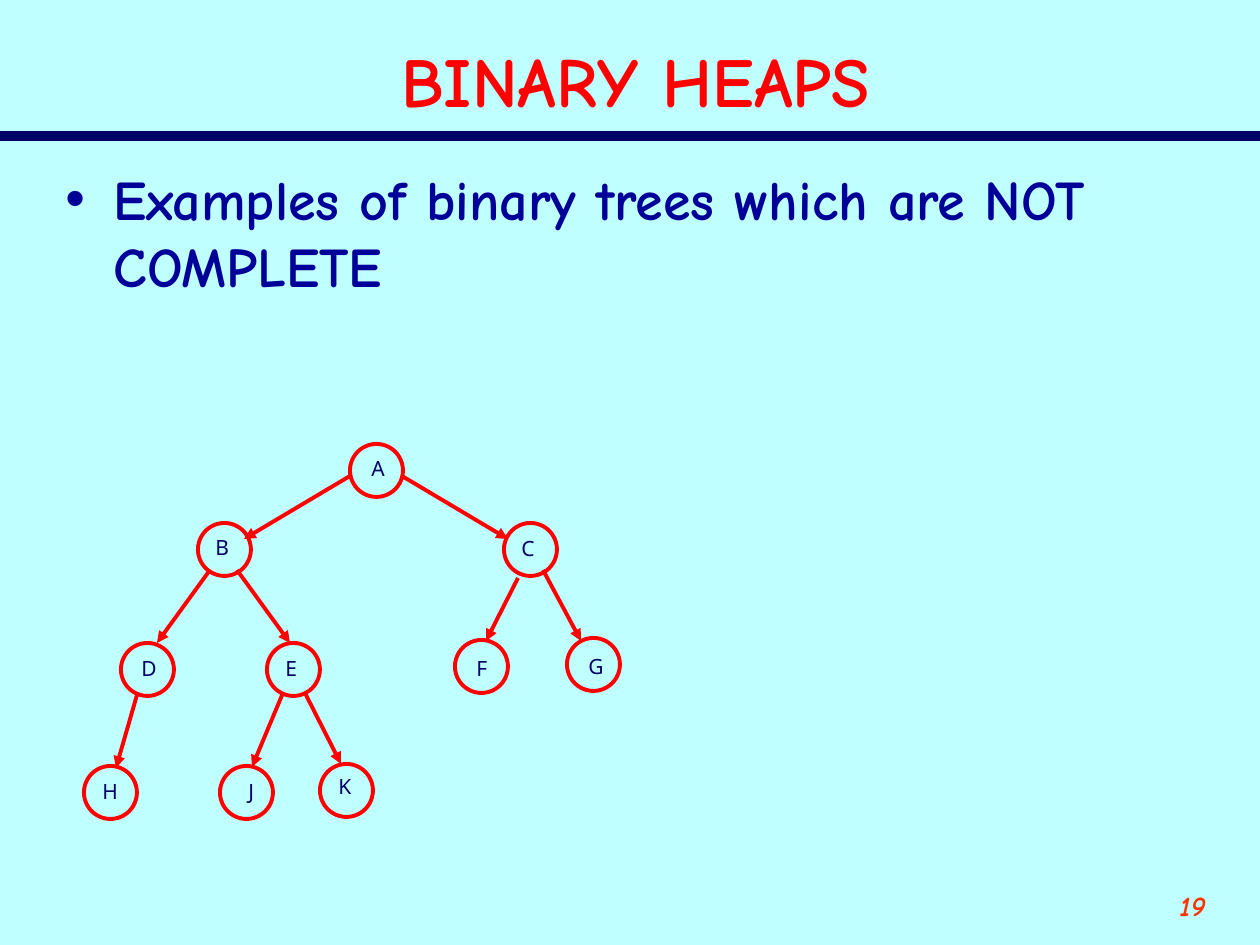
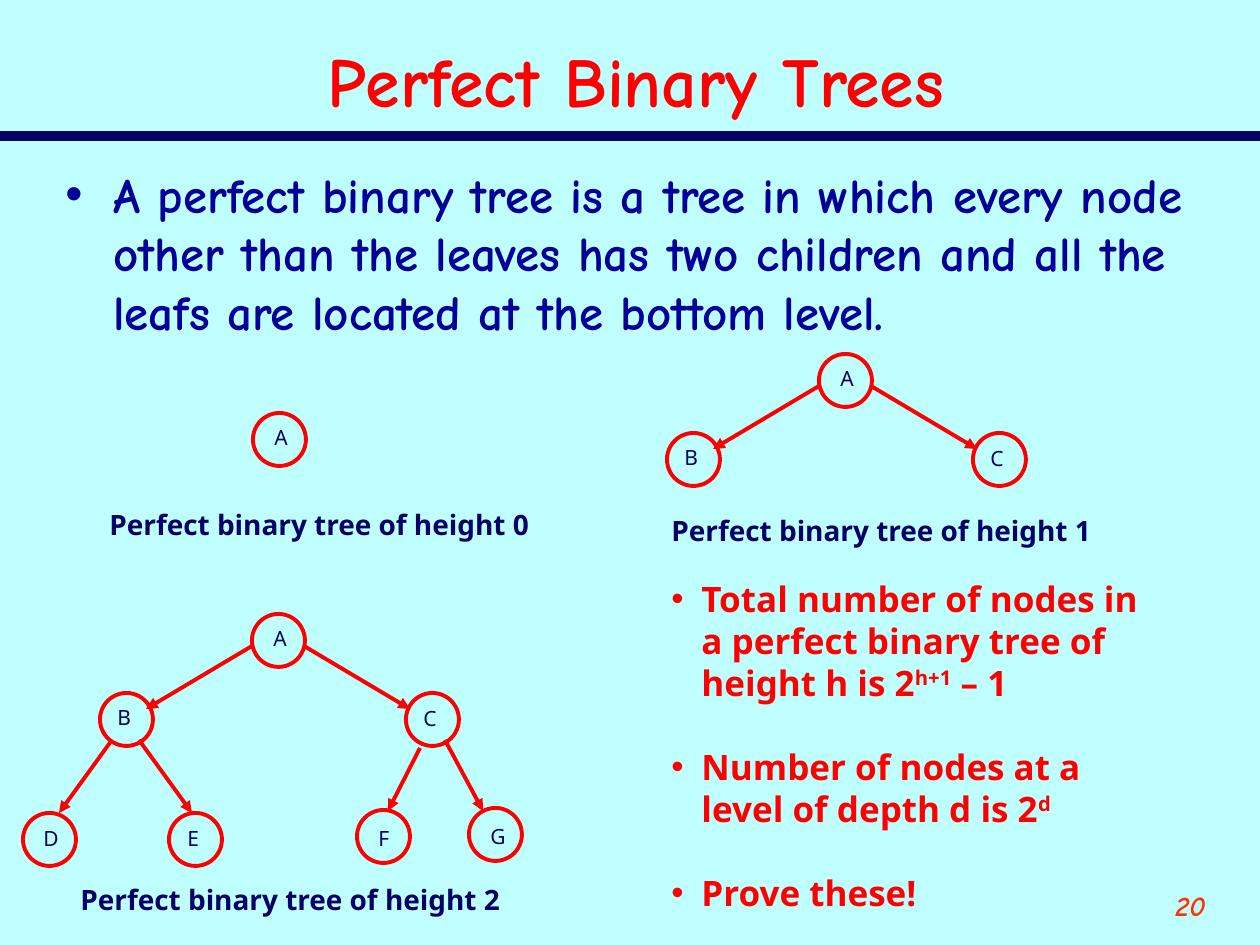
from lxml import etree
from pptx import Presentation
from pptx.dml.color import RGBColor
from pptx.enum.shapes import MSO_CONNECTOR, MSO_SHAPE
from pptx.enum.text import MSO_ANCHOR, MSO_AUTO_SIZE, PP_ALIGN
from pptx.oxml.ns import qn
from pptx.util import Emu, Pt

STRAIGHT = MSO_CONNECTOR.STRAIGHT
OVAL = MSO_SHAPE.OVAL
MIDDLE = MSO_ANCHOR.MIDDLE
NO_AUTOFIT = MSO_AUTO_SIZE.NONE
CENTER, RIGHT = PP_ALIGN.CENTER, PP_ALIGN.RIGHT

PX_PER_INCH = 126
SLIDE_W, SLIDE_H = 1260, 945
TITLE_ONLY = 5

BACKGROUND = "BFFFFF"
NAVY = "000066"
BLUE = "000099"
RED = "FF0000"
ORANGE = "FF3300"
HAND = "Comic Neue"
SANS = "Noto Sans"

NODE_SIZE = 53
# Node: left, top relative to the root node, then the label's shift inside it
NODES = {
    "A": (0, 0, 9, 5),
    "B": (-152, 79, 5, 5),
    "C": (154, 79, 5, 6),
    "D": (-229, 199, 8, 6),
    "E": (-83, 199, 6, 6),
    "F": (105, 196, 9, 9),
    "G": (217, 194, 9, 9),
    "H": (-266, 322, 6, 6),
    "J": (-130, 322, 16, 6),
    "K": (-30, 320, 6, 3),
}
# Edge parent-child: start and end relative to the root node
EDGES = {
    "AB": (0, 32, -106, 95),
    "AC": (52, 32, 158, 95),
    "BD": (-140, 126, -193, 199),
    "BE": (-113, 126, -60, 199),
    "CF": (168, 134, 136, 197),
    "CG": (193, 126, 231, 197),
    "DH": (-213, 251, -234, 324),
    "EJ": (-67, 249, -98, 323),
    "EK": (-45, 249, -9, 320),
}


def px(n):
    return Emu(round(n * 914400 / PX_PER_INCH))


def rgb(color):
    return RGBColor.from_string(color)


def style(p, size, color, font=HAND, bold=True, italic=False):
    for r in p.runs:
        r.font.size = Pt(size)
        r.font.name = font
        r.font.bold = bold
        r.font.italic = italic
        r.font.color.rgb = rgb(color)


def add_bullet(p, color, indent):
    """Give a paragraph a round bullet and a hanging indent."""
    pPr = p._p.get_or_add_pPr()
    pPr.set("marL", str(px(indent)))
    pPr.set("indent", str(-px(indent)))
    buClr = etree.SubElement(pPr, qn("a:buClr"))
    etree.SubElement(buClr, qn("a:srgbClr"), val=color)
    etree.SubElement(pPr, qn("a:buFont"), typeface="Arial")
    etree.SubElement(pPr, qn("a:buChar"), char="•")


def add_text(s, text, x, y, w, h):
    tf = s.shapes.add_textbox(px(x), px(y), px(w), px(h)).text_frame
    tf.word_wrap = True
    tf.text = text
    return tf.paragraphs[0]


def add_line(s, x1, y1, x2, y2, color, width):
    line = s.shapes.add_connector(STRAIGHT, px(x1), px(y1), px(x2), px(y2))
    line.line.color.rgb = rgb(color)
    line.line.width = Pt(width)
    etree.SubElement(line._element.spPr, qn("a:effectLst"))
    return line


def add_arrow(s, x1, y1, x2, y2):
    arrow = add_line(s, x1, y1, x2, y2, RED, 2.25)
    etree.SubElement(arrow.line._get_or_add_ln(), qn("a:tailEnd"), type="triangle")


def add_node(s, name, x, y, dx, dy):
    sp = s.shapes.add_shape(OVAL, px(x), px(y), px(NODE_SIZE), px(NODE_SIZE))
    sp.shadow.inherit = False
    sp.fill.background()
    sp.line.color.rgb = rgb(RED)
    sp.line.width = Pt(2.25)
    style(add_text(s, name, x + dx, y + dy, 39, 38), 12, NAVY, SANS, bold=False)


def add_tree(s, names, x, y):
    """Draw the named nodes and the edges between them, root node at x, y."""
    for (parent, child), (x1, y1, x2, y2) in EDGES.items():
        if parent in names and child in names:
            add_arrow(s, x + x1, y + y1, x + x2, y + y2)
    for name in names:
        left, top, dx, dy = NODES[name]
        add_node(s, name, x + left, y + top, dx, dy)


def add_caption(s, height, x, y):
    p = add_text(s, f"Perfect binary tree of height {height}", x, y, 445, 46)
    p._parent.word_wrap = False if hasattr(p._parent, "word_wrap") else None
    style(p, 16, NAVY, SANS)


def add_statement(s, text, size, height):
    p = add_text(s, text, 53, 158, 1165, height)
    add_bullet(p, BLUE, 48)
    style(p, size, BLUE)


def add_facts(s, facts, x, y, w, h):
    """List facts, each a sequence of (text, is_superscript) parts."""
    p = add_text(s, "", x, y, w, h)
    tf = s.shapes[-1].text_frame
    for i, parts in enumerate(facts):
        if i:
            p = tf.add_paragraph()
            p.space_before = Pt(24)
        add_bullet(p, RED, 30)
        for text, raised in parts:
            r = p.add_run()
            r.text = text
            if raised:
                r.font._element.set("baseline", "30000")
        style(p, 20, RED, SANS)


def add_slide(prs, title, number):
    s = prs.slides.add_slide(prs.slide_layouts[TITLE_ONLY])
    # Title
    sp = s.shapes.title
    sp.left, sp.top, sp.width, sp.height = px(53), px(32), px(1165), px(94)
    tf = sp.text_frame
    tf.text = title
    tf.auto_size = NO_AUTOFIT
    tf.vertical_anchor = MIDDLE
    tf.paragraphs[0].alignment = CENTER
    style(tf.paragraphs[0], 40, RED)
    # Rule and slide number
    add_line(s, 0, 136, SLIDE_W, 136, NAVY, 6)
    p = add_text(s, str(number), 1092, 882, 126, 63)
    p.alignment = RIGHT
    style(p, 16, ORANGE, italic=True)
    return s


def build_not_complete(prs):
    s = add_slide(prs, "BINARY HEAPS", 19)
    add_statement(s, "Examples of binary trees which are NOT COMPLETE", 32, 305)
    add_tree(s, "ABCDEFGHJK", 350, 444)


def build_perfect(prs):
    s = add_slide(prs, "Perfect Binary Trees", 20)
    add_statement(s, "A perfect binary tree is a tree in which every node other than "
                  "the leaves has two children and all the leafs are located at "
                  "the bottom level.", 28, 227)
    # Trees of height 0, 1 and 2
    add_tree(s, "A", 253, 413)
    add_caption(s, 0, 97, 501)
    add_tree(s, "ABC", 819, 354)
    add_caption(s, 1, 659, 507)
    add_tree(s, "ABCDEFG", 252, 614)
    add_caption(s, 2, 68, 876)
    # Properties
    add_facts(s, [
        [("Total number of nodes in a perfect binary tree of height h is 2", False),
         ("h+1", True), (" – 1", False)],
        [("Number of nodes at a level of depth d is 2", False), ("d", True)],
        [("Prove these!", False)],
    ], 659, 571, 501, 349)


def main():
    prs = Presentation()
    prs.slide_width, prs.slide_height = px(SLIDE_W), px(SLIDE_H)
    fill = prs.slide_master.background.fill
    fill.solid()
    fill.fore_color.rgb = rgb(BACKGROUND)
    build_not_complete(prs)
    build_perfect(prs)
    prs.save("out.pptx")


if __name__ == "__main__":
    main()
